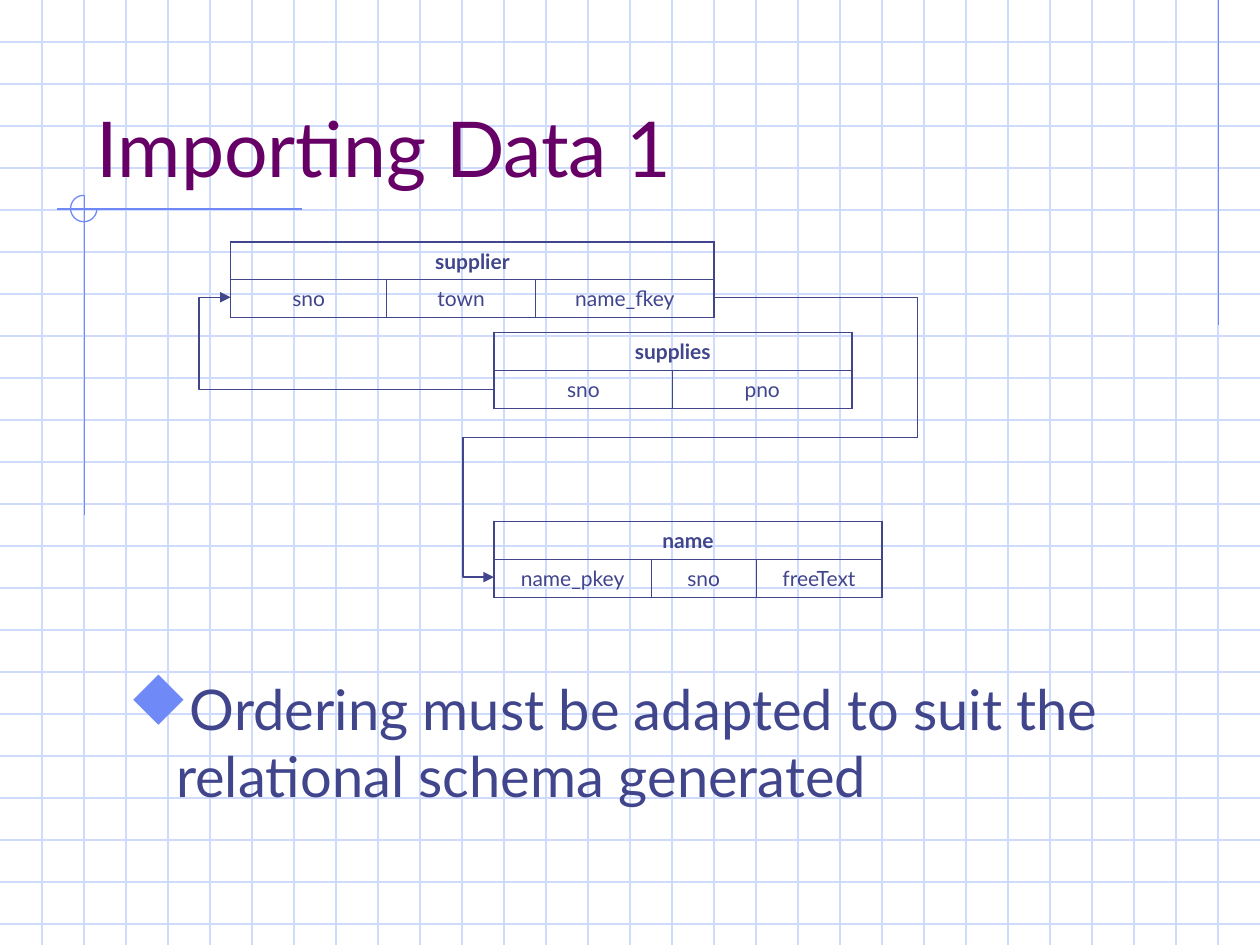
from dataclasses import dataclass

from lxml import etree
from pptx import Presentation
from pptx import util as u
from pptx.dml.color import RGBColor
from pptx.enum import shapes, text
from pptx.oxml import ns

COLORS = {
    "grid": "CFDBFD",
    "accent": "6F89F7",
    "title": "660066",
    "ink": "40458C",
}
FONT = "Lato"
BULLET_FONT, DIAMOND = "Wingdings", "u"  # this symbol font draws "u" as a diamond
WIDTH, HEIGHT = 10, 7.5
GRID_STEP = 1 / 3
ROW_HEIGHT = 0.3
OUTER_BORDER, INNER_BORDER = 1.08, 0.45

Point = tuple[float, float]


@dataclass
class Relation:
    name: str
    left: float
    top: float
    columns: dict[str, float]  # column name and width


@dataclass
class ForeignKey:
    start: Point
    end: Point
    preset: str
    bends: tuple[float, ...]  # fractions of the connector's extent


RELATIONS = [
    Relation("supplier", 1.83, 1.92, {"sno": 1.24, "town": 1.18, "name_fkey": 1.42}),
    Relation("supplies", 3.92, 2.64, {"sno": 1.42, "pno": 1.42}),
    Relation("name", 3.92, 4.14, {"name_pkey": 1.25, "sno": 0.83, "freeText": 1}),
]
FOREIGN_KEYS = [
    ForeignKey((3.92, 3.09), (1.83, 2.36), "bentConnector3", (1.12,)),
    ForeignKey((5.67, 2.36), (3.92, 4.58), "bentConnector5", (-0.92, 0.5, 1.14)),
]


def rgb(color: str) -> RGBColor:
    return RGBColor.from_string(COLORS[color])


def add_element(parent, tag: str, **attributes: str):
    element = etree.SubElement(parent, ns.qn(tag))
    for name, value in attributes.items():
        element.set(name, value)
    return element


def write(frame, content: str, *, size: float, color: str, bold: bool = False,
          align=text.PP_ALIGN.LEFT, anchor=text.MSO_ANCHOR.TOP, bullet: str = "") -> None:
    frame.word_wrap = True
    frame.vertical_anchor = anchor
    paragraph = frame.paragraphs[0]
    paragraph.alignment = align
    if bullet:
        properties = paragraph._p.get_or_add_pPr()
        indent = u.Inches(0.38)
        properties.set("marL", str(indent))
        properties.set("indent", str(-indent))
        bullet_color = add_element(properties, "a:buClr")
        add_element(bullet_color, "a:srgbClr", val=COLORS["accent"])
        add_element(properties, "a:buSzPct", val="110000")
        add_element(properties, "a:buFont", typeface=BULLET_FONT, pitchFamily="2", charset="2")
        add_element(properties, "a:buChar", char=bullet)
    run = paragraph.add_run()
    run.text = content
    run.font.name = FONT
    run.font.size = u.Pt(size)
    run.font.bold = bold
    run.font.color.rgb = rgb(color)


def add_text(slide, left: float, top: float, width: float, height: float,
             content: str, **text_format) -> None:
    box = slide.shapes.add_textbox(*map(u.Inches, (left, top, width, height)))
    write(box.text_frame, content, **text_format)


def add_line(slide, start: Point, end: Point, color: str,
             kind=shapes.MSO_CONNECTOR.STRAIGHT):
    connector = slide.shapes.add_connector(kind, *map(u.Inches, (*start, *end)))
    connector.line.color.rgb = rgb(color)
    connector.line.width = u.Pt(0.75)
    add_element(connector._element.spPr, "a:effectLst")
    return connector


def add_foreign_key(slide, key: ForeignKey) -> None:
    connector = add_line(slide, key.start, key.end, "ink", shapes.MSO_CONNECTOR.ELBOW)
    geometry = connector._element.spPr.find(ns.qn("a:prstGeom"))
    geometry.set("prst", key.preset)
    guides = geometry.find(ns.qn("a:avLst"))
    if guides is None:
        guides = add_element(geometry, "a:avLst")
    for number, bend in enumerate(key.bends, start=1):
        add_element(guides, "a:gd", name=f"adj{number}", fmla=f"val {round(bend * 100000)}")
    add_element(connector.line._get_or_add_ln(), "a:tailEnd", type="triangle")


def set_borders(cell, widths: dict[str, float]) -> None:
    properties = cell._tc.get_or_add_tcPr()
    for side, width in widths.items():
        line = add_element(properties, f"a:ln{side}", w=str(u.Pt(width)))
        fill = add_element(line, "a:solidFill")
        add_element(fill, "a:srgbClr", val=COLORS["ink"])


def add_relation(slide, relation: Relation) -> None:
    count = len(relation.columns)
    size = (sum(relation.columns.values()), 2 * ROW_HEIGHT)
    frame = slide.shapes.add_table(2, count, *map(u.Inches, (relation.left, relation.top, *size)))
    table = frame.table
    table.first_row = table.horz_banding = False
    for row in table.rows:
        row.height = u.Inches(ROW_HEIGHT)
    table.cell(0, 0).merge(table.cell(0, count - 1))

    # Thick frame outside, thin rules inside
    for row in range(2):
        for column, width in enumerate(relation.columns.values()):
            table.columns[column].width = u.Inches(width)
            cell = table.cell(row, column)
            outer = {
                "L": column == 0,
                "R": column == count - 1 or cell.is_merge_origin,
                "T": row == 0,
                "B": row == 1,
            }
            set_borders(cell, {side: OUTER_BORDER if is_outer else INNER_BORDER
                               for side, is_outer in outer.items()})
            cell.fill.background()

    def fill_cell(row: int, column: int, content: str, bold: bool) -> None:
        write(table.cell(row, column).text_frame, content, size=12, color="ink",
              bold=bold, align=text.PP_ALIGN.CENTER)

    fill_cell(0, 0, relation.name, True)
    for column, name in enumerate(relation.columns):
        fill_cell(1, column, name, False)


def add_background(slide) -> None:
    # Graph paper
    for index in range(1, int(HEIGHT / GRID_STEP) + 1):
        add_line(slide, (0, index * GRID_STEP), (WIDTH, index * GRID_STEP), "grid")
    for index in range(1, round(WIDTH / GRID_STEP)):
        add_line(slide, (index * GRID_STEP, 0), (index * GRID_STEP, HEIGHT), "grid")
    # Accent lines
    add_line(slide, (9.67, 0), (9.67, 2.58), "accent")
    add_line(slide, (2.4, 1.66), (0.45, 1.66), "accent")
    add_line(slide, (0.67, 1.55), (0.67, 4.09), "accent")
    # Three-quarter circle around the crossing
    arc = slide.shapes.add_shape(shapes.MSO_SHAPE.ARC, *map(u.Inches, (0.56, 1.55, 0.21, 0.21)))
    arc.shadow.inherit = False
    arc.adjustments[0] = 0
    arc.adjustments[1] = 162  # 270 degrees
    arc.fill.background()
    arc.line.color.rgb = rgb("accent")
    arc.line.width = u.Pt(0.75)


def main() -> None:
    presentation = Presentation()
    presentation.slide_width = u.Inches(WIDTH)
    presentation.slide_height = u.Inches(HEIGHT)
    slide = presentation.slides.add_slide(presentation.slide_layouts[6])

    add_background(slide)
    # Title and message
    add_text(slide, 0.67, 0.33, 8.5, 1.25, "Importing Data 1",
             size=44, color="title", anchor=text.MSO_ANCHOR.BOTTOM)
    add_text(slide, 0.92, 5.3, 8.5, 1.28,
             "Ordering must be adapted to suit the relational schema generated",
             size=32, color="ink", bullet=DIAMOND)
    # Schema diagram
    for relation in RELATIONS:
        add_relation(slide, relation)
    for key in FOREIGN_KEYS:
        add_foreign_key(slide, key)

    presentation.save("out.pptx")


if __name__ == "__main__":
    main()
